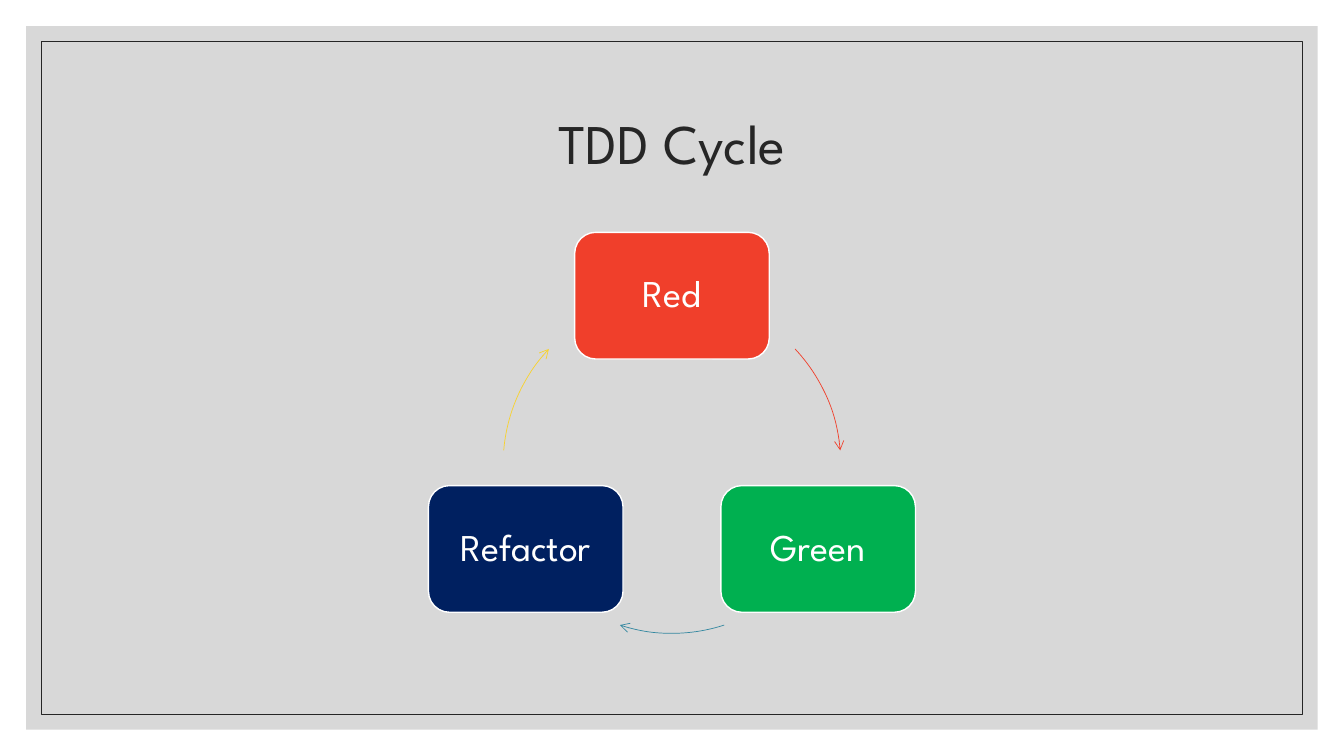
import math
from typing import NamedTuple

import lxml.etree
import pptx
import pptx.dml.color
import pptx.enum.shapes
import pptx.enum.text
import pptx.oxml.ns
import pptx.util

Pt = pptx.util.Pt
KIND = pptx.enum.shapes.MSO_SHAPE
FONT = "League Spartan"
WIDE, HIGH = 960, 540
MID_X, MID_Y, RING = 480, 331.8, 120.6  # the circle of the cycle
BOX_W, BOX_H = 139, 90.5


class Step(NamedTuple):
    name: str
    angle: float  # degrees clockwise from the right
    fill: str


class Arc(NamedTuple):
    start: float
    end: float
    color: str


STEPS = [
    Step("Red", 270, "F03F2B"),
    Step("Green", 30, "00B050"),
    Step("Refactor", 150, "002060"),
]
ARCS = [
    Arc(316.8, 355.2, "F03F2B"),
    Arc(72, 108, "3488A0"),
    Arc(184.8, 223.2, "F8D22F"),
]


def paint(target, color: str) -> None:
    target.rgb = pptx.dml.color.RGBColor.from_string(color)


def add_xml(parent, tag: str, **attrs: str):
    return lxml.etree.SubElement(parent, pptx.oxml.ns.qn(tag), attrs)


def write(shape, text: str, *, size: float, color: str, inset: float = 7.2) -> None:
    frame = shape.text_frame
    frame.word_wrap = True
    frame.vertical_anchor = pptx.enum.text.MSO_ANCHOR.MIDDLE
    frame.margin_left = frame.margin_right = Pt(inset)
    line = frame.paragraphs[0]
    line.alignment = pptx.enum.text.PP_ALIGN.CENTER
    line.line_spacing = 0.9
    run = line.add_run()
    run.text = text
    run.font.name = FONT
    run.font.size = Pt(size)
    paint(run.font.color, color)


def draw(slide, kind, x: float, y: float, w: float, h: float, *,
         fill: str = "", line: str = "", width: float = 0.5):
    shape = slide.shapes.add_shape(kind, Pt(x), Pt(y), Pt(w), Pt(h))
    shape.shadow.inherit = False
    if fill:
        shape.fill.solid()
        paint(shape.fill.fore_color, fill)
    else:
        shape.fill.background()
    if line:
        paint(shape.line.color, line)
        shape.line.width = Pt(width)
    else:
        shape.line.fill.background()
    return shape


def add_frame(slide, gap: float, **style):
    return draw(slide, KIND.RECTANGLE, gap, gap,
                WIDE - 2 * gap, HIGH - 2 * gap, **style)


def add_step(slide, step: Step) -> None:
    turn = math.radians(step.angle)
    x = MID_X + RING * math.cos(turn) - BOX_W / 2
    y = MID_Y + RING * math.sin(turn) - BOX_H / 2
    box = draw(slide, KIND.ROUNDED_RECTANGLE, x, y, BOX_W, BOX_H,
               fill=step.fill, line="FFFFFF", width=1)
    write(box, step.name, size=27, color="FFFFFF", inset=8)


def add_arc(slide, arc: Arc) -> None:
    curve = draw(slide, KIND.ARC, MID_X - RING, MID_Y - RING,
                 2 * RING, 2 * RING, line=arc.color)
    for i, angle in enumerate((arc.start, arc.end)):
        curve.adjustments[i] = angle * 0.6  # 60000 units a degree, over 100000
    add_xml(curve.line._get_or_add_ln(), "a:tailEnd", type="arrow")


deck = pptx.Presentation()
deck.slide_width, deck.slide_height = Pt(WIDE), Pt(HIGH)
slide = deck.slides.add_slide(deck.slide_layouts[6])

# Grey panel and its thin border
panel = add_frame(slide, 18.72, fill="BFBFBF")
shade = panel.fill._xPr.find(".//" + pptx.oxml.ns.qn("a:srgbClr"))
add_xml(shade, "a:alpha", val="60000")
add_frame(slide, 29.5, line="262626")

# Title
title = slide.shapes.add_textbox(Pt(84), Pt(50.4), Pt(792), Pt(108))
write(title, "TDD Cycle", size=40, color="262626")

# Cycle
for step, arc in zip(STEPS, ARCS):
    add_step(slide, step)
    add_arc(slide, arc)

deck.save("out.pptx")
